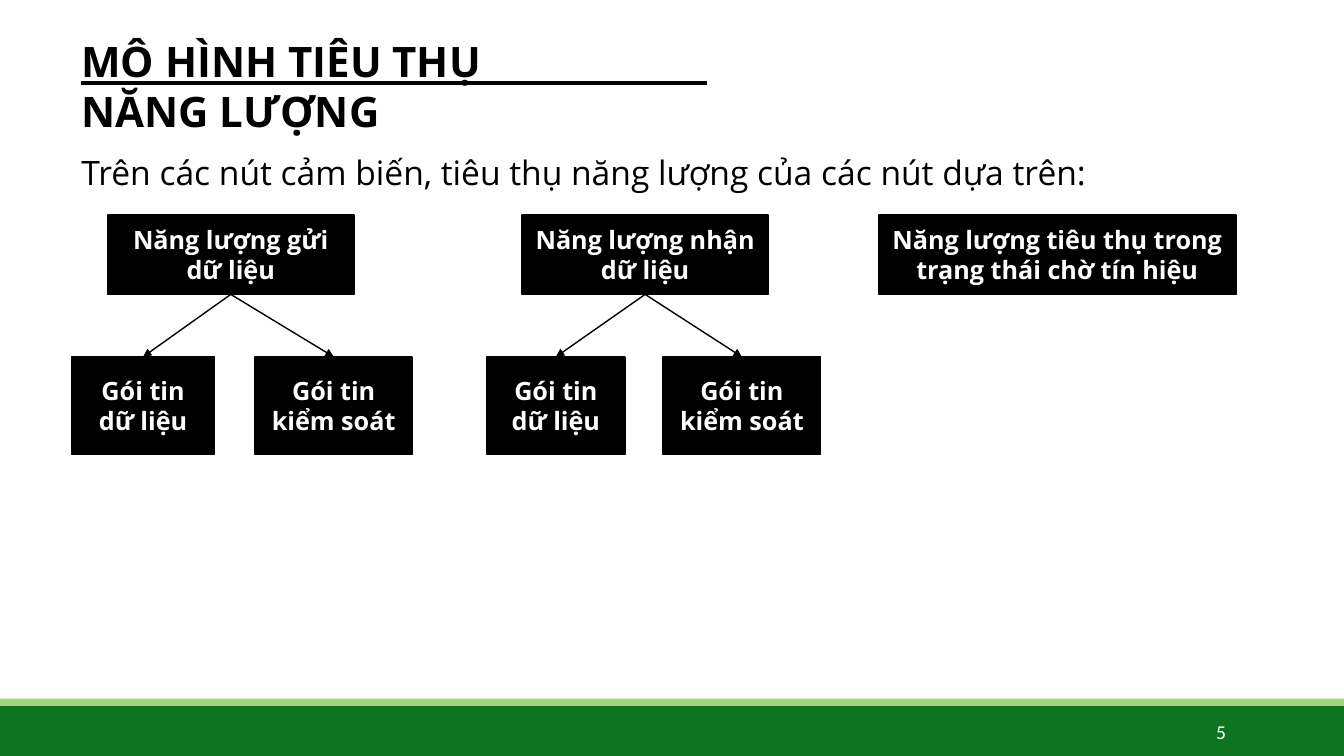
from dataclasses import dataclass

from lxml import etree
from pptx import Presentation
from pptx.dml.color import RGBColor
from pptx.enum.shapes import MSO_CONNECTOR, MSO_SHAPE
from pptx.enum.text import MSO_ANCHOR, PP_ALIGN
from pptx.oxml.ns import qn
from pptx.util import Pt

RECT, STRAIGHT = MSO_SHAPE.RECTANGLE, MSO_CONNECTOR.STRAIGHT
TOP, MIDDLE = MSO_ANCHOR.TOP, MSO_ANCHOR.MIDDLE
LEFT, CENTER, RIGHT, JUSTIFY = PP_ALIGN.LEFT, PP_ALIGN.CENTER, PP_ALIGN.RIGHT, PP_ALIGN.JUSTIFY
SIDE_TOP, SIDE_BOTTOM = 0, 2


@dataclass(frozen=True)
class Theme:
    black: RGBColor = RGBColor(0, 0, 0)
    white: RGBColor = RGBColor(255, 255, 255)
    green: RGBColor = RGBColor(0x0E, 0x74, 0x1F)
    light_green: RGBColor = RGBColor(0x9F, 0xD4, 0x7D)
    font: str = "Open Sans"
    number_font: str = "Calibri"
    title: int = 30
    lead: int = 24
    label: int = 18
    number: int = 14
    spacing: float = 1.0


T = Theme()
WIDTH, HEIGHT = 960, 540
PACKETS = ("Gói tin dữ liệu", "Gói tin kiểm soát")
ROOT_H, GAP, LEAF_H = 56.9, 44.6, 69.8
# Energy kind: text, left, width, then (left, width) of each packet box below it
ENERGIES = (
    ("Năng lượng gửi dữ liệu", 77, 175.7, ((51.1, 102.2), (182.2, 112.3))),
    ("Năng lượng nhận dữ liệu", 373, 175.7, ((347.8, 98.6), (473.8, 112.3))),
    ("Năng lượng tiêu thụ trong trạng thái chờ tín hiệu", 627.8, 254.9, ()),
)


def write(sp, text, size, color, align, anchor=TOP, bold=False, font=T.font):
    tf = sp.text_frame
    tf.word_wrap = True
    tf.vertical_anchor = anchor
    p = tf.paragraphs[0]
    p.alignment = align
    p.line_spacing = T.spacing
    r = p.add_run()
    r.text = text
    r.font.color.rgb = color
    for name, value in {"size": Pt(size), "bold": bold, "name": font}.items():
        setattr(r.font, name, value)
    return tf


def add_text(s, box, *args, **kwargs):
    return write(s.shapes.add_textbox(*map(Pt, box)), *args, **kwargs)


def add_rect(s, box, color, line_width=None):
    sp = s.shapes.add_shape(RECT, *map(Pt, box))
    sp.shadow.inherit = False
    sp.fill.solid()
    sp.fill.fore_color.rgb = color
    if line_width:
        sp.line.color.rgb = color
        sp.line.width = Pt(line_width)
    else:
        sp.line.fill.background()
    return sp


def add_line(s, ends, width):
    line = s.shapes.add_connector(STRAIGHT, *map(Pt, ends))
    line.line.color.rgb = T.black
    line.line.width = Pt(width)
    etree.SubElement(line._element.spPr, qn("a:effectLst"))
    return line


def add_arrow(s, parent, child):
    arrow = add_line(s, (0, 0, 0, 0), 1)
    arrow.begin_connect(parent, SIDE_BOTTOM)
    arrow.end_connect(child, SIDE_TOP)
    etree.SubElement(arrow.line._get_or_add_ln(), qn("a:tailEnd"), type="triangle")


def add_label(s, box, text):
    sp = add_rect(s, box, T.black, 1.25)
    write(sp, text, T.label, T.white, CENTER, MIDDLE, bold=True)
    return sp


def footer(s, x, y, w, h):
    stripe = 5
    add_rect(s, (x, y + stripe, w, h - stripe), T.green)
    add_rect(s, (x, y, w, stripe), T.light_green)
    add_text(s, (x + 779.8, y + 9.3, 103, 28.8), "5", T.number, T.white, RIGHT,
             MIDDLE, font=T.number_font)


def header(s, x, y, w):
    rule_x, rule_y = x + 6.5, y + 37.9
    add_line(s, (rule_x, rule_y, rule_x + 447.1, rule_y), 3)
    add_text(s, (x, y, 372.2, 79.9), "MÔ HÌNH TIÊU THỤ NĂNG LƯỢNG", T.title, T.black,
             LEFT, bold=True)
    tf = add_text(s, (x, y + 79.9, w, 43.9),
                  "Trên các nút cảm biến, tiêu thụ năng lượng của các nút dựa trên:",
                  T.lead, T.black, JUSTIFY)
    for side in ("left", "top", "right", "bottom"):
        setattr(tf, f"margin_{side}", Pt(7.2))


def energy_tree(s, x, y, w, text, leaves):
    """Draw one energy box and the packet boxes it points to."""
    root = add_label(s, (x, y, w, ROOT_H), text)
    for packet, (leaf_x, leaf_w) in zip(PACKETS, leaves):
        leaf = add_label(s, (leaf_x, y + ROOT_H + GAP, leaf_w, LEAF_H), packet)
        add_arrow(s, root, leaf)


def main():
    prs = Presentation()
    prs.slide_width, prs.slide_height = Pt(WIDTH), Pt(HEIGHT)
    s = prs.slides.add_slide(prs.slide_layouts[6])
    footer(s, 0, 499, WIDTH, 41)
    header(s, 51.1, 21.6, 856.1)
    for text, x, w, leaves in ENERGIES:
        energy_tree(s, x, 153.4, w, text, leaves)
    prs.save("out.pptx")


if __name__ == "__main__":
    main()
